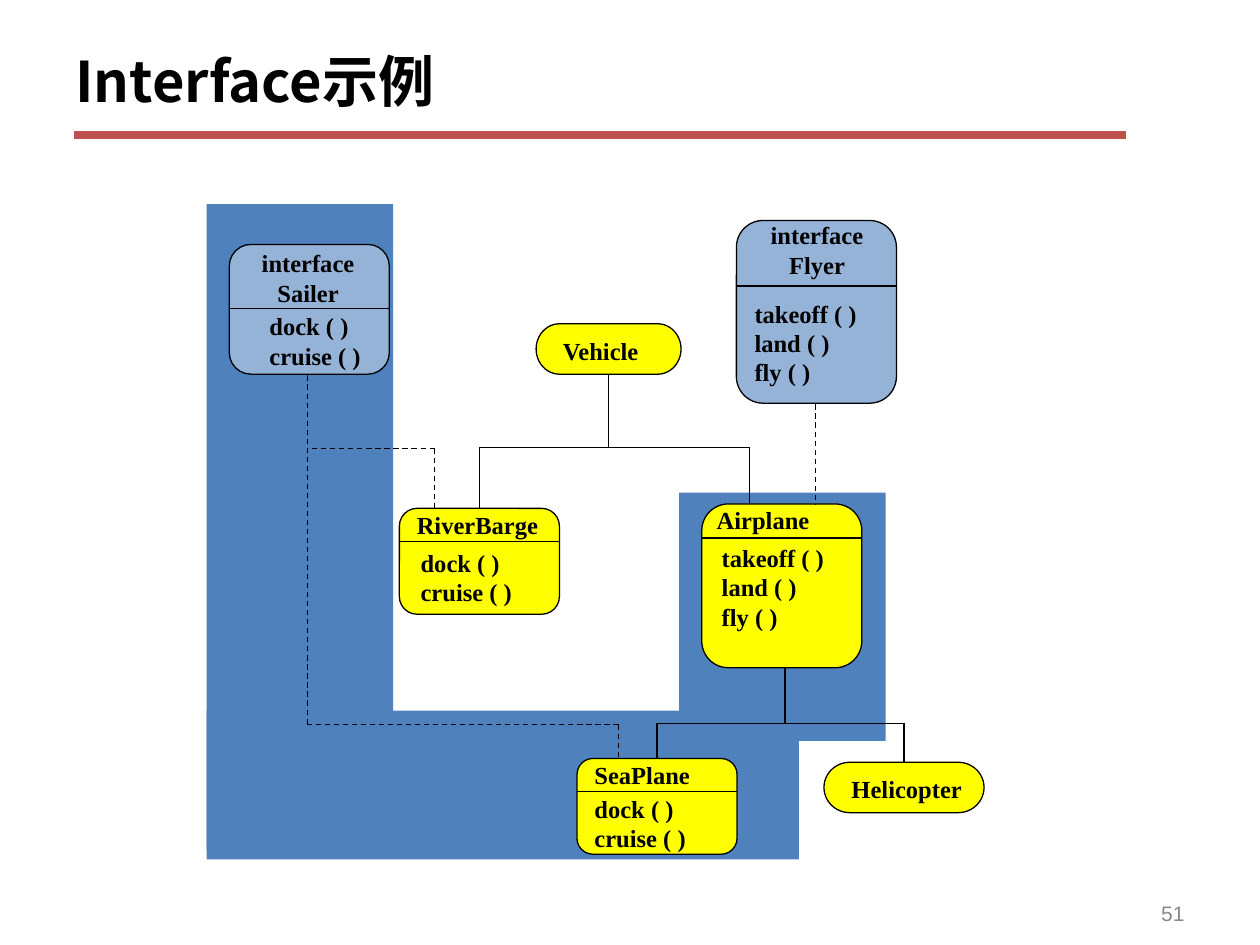
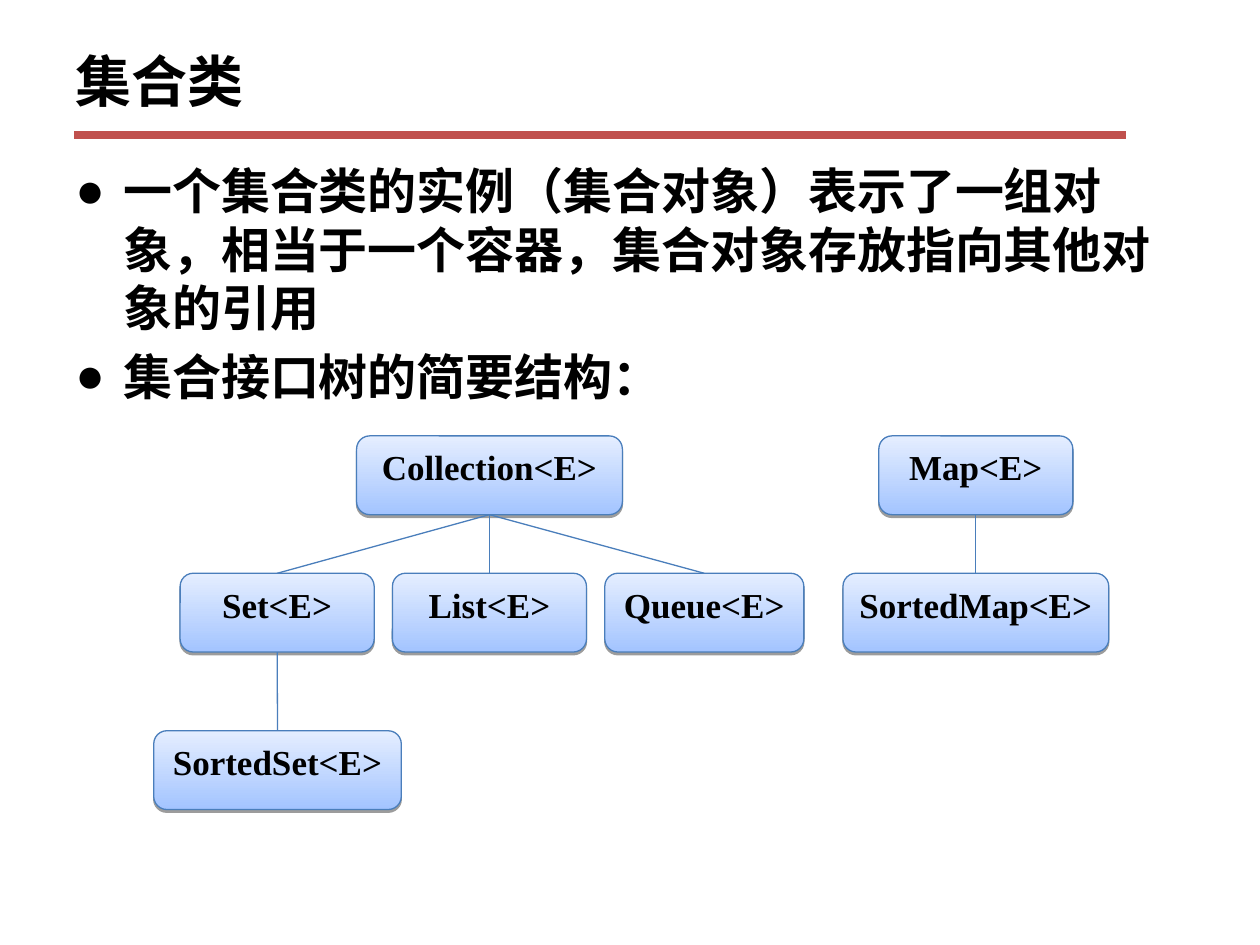
from lxml import etree
from pptx import Presentation
from pptx.dml.color import RGBColor
from pptx.enum.dml import MSO_LINE
from pptx.enum.lang import MSO_LANGUAGE_ID
from pptx.enum.shapes import MSO_CONNECTOR, MSO_SHAPE
from pptx.enum.text import MSO_ANCHOR, PP_ALIGN
from pptx.oxml.ns import qn
from pptx.util import Inches, Pt

SLIDE_WIDTH, SLIDE_HEIGHT = Inches(10), Inches(7.5)
COLUMN, ROW = SLIDE_WIDTH // 100, SLIDE_HEIGHT // 75

BLACK = RGBColor(0x00, 0x00, 0x00)
RED = RGBColor(0xC0, 0x50, 0x4D)
BLUE = RGBColor(0x4F, 0x81, 0xBD)
PALE_BLUE = RGBColor(0x95, 0xB3, 0xD7)
YELLOW = RGBColor(0xFF, 0xFF, 0x00)
GREY = RGBColor(0x89, 0x89, 0x89)
NODE_LINE = RGBColor(0x4A, 0x7E, 0xBB)
NODE_BOTTOM = RGBColor(0xA3, 0xC4, 0xFF)
NODE_TOP = RGBColor(0xE5, 0xEE, 0xFF)

SERIF, SANS, PLAIN = "Times New Roman", "Noto Sans CJK SC", "Arial"
RECTANGLE = MSO_SHAPE.RECTANGLE
ROUNDED = MSO_SHAPE.ROUNDED_RECTANGLE
CARD = MSO_SHAPE.FLOWCHART_ALTERNATE_PROCESS
PILL = MSO_SHAPE.FLOWCHART_TERMINATOR
STRAIGHT = MSO_CONNECTOR.STRAIGHT
DASH = MSO_LINE.DASH
TOP, MIDDLE = MSO_ANCHOR.TOP, MSO_ANCHOR.MIDDLE
LEFT, CENTER, RIGHT = PP_ALIGN.LEFT, PP_ALIGN.CENTER, PP_ALIGN.RIGHT
CHINESE = MSO_LANGUAGE_ID.SIMPLIFIED_CHINESE
TOP_SITE, BOTTOM_SITE = 0, 2


def place(left, top, width, height):
    return (round(left * COLUMN), round(top * ROW),
            round(width * COLUMN), round(height * ROW))


def write(box, text, size, font=SERIF, colour=BLACK, bold=True,
          align=LEFT, anchor=TOP):
    frame = box.text_frame
    frame.text = text
    frame.word_wrap = True
    frame.vertical_anchor = anchor
    for para in frame.paragraphs:
        para.alignment = align
        for span in para.runs:
            span.font.name = font
            span.font.size = Pt(size)
            span.font.bold = bold
            span.font.color.rgb = colour
            etree.SubElement(span.font._element, qn("a:ea"), typeface=SANS)


def add_text(page, area, text, size, **style):
    box = page.shapes.add_textbox(*place(*area))
    write(box, text, size, **style)
    return box


def add_box(page, kind, area, fill, outline=None):
    box = page.shapes.add_shape(kind, *place(*area))
    box.shadow.inherit = False
    box.fill.solid()
    box.fill.fore_color.rgb = fill
    if outline is None:
        box.line.fill.background()
    else:
        box.line.color.rgb = outline
        box.line.width = Pt(0.75)
    return box


def connect(page, start, end, colour=BLACK, width=0.75, dashed=False):
    starts_at_point, ends_at_point = isinstance(start, tuple), isinstance(end, tuple)
    start_point = start if starts_at_point else (0, 0)
    end_point = end if ends_at_point else (0, 0)
    line = page.shapes.add_connector(STRAIGHT, *place(*start_point, *end_point))
    if not starts_at_point:
        line.begin_connect(start, BOTTOM_SITE)
    if not ends_at_point:
        line.end_connect(end, TOP_SITE)
    line.line.color.rgb = colour
    line.line.width = Pt(width)
    if dashed:
        line.line.dash_style = DASH
    etree.SubElement(line._element.spPr, qn("a:effectLst"))


def column_of(end):
    if isinstance(end, tuple):
        return end[0]
    return (end.left + end.width / 2) / COLUMN


def add_branches(page, parent, levels, dashed=False):
    trunk = column_of(parent)
    connect(page, parent, (trunk, max(levels)), dashed=dashed)
    for row, children in levels.items():
        columns = [trunk, *map(column_of, children)]
        connect(page, (max(columns), row), (min(columns), row), dashed=dashed)
        for child in children:
            connect(page, (column_of(child), row), child, dashed=dashed)


def add_class_card(page, area, fill, divider, name, name_area, methods, methods_at,
                   align=LEFT):
    left, _, width, _ = area
    card = add_box(page, CARD, area, fill, BLACK)
    add_text(page, name_area, name, 14, align=align)
    add_text(page, (*methods_at, 12, 6.5), methods, 14)
    connect(page, (left, divider), (left + width, divider))
    return card


def add_class_pill(page, area, name, name_at):
    pill = add_box(page, PILL, area, YELLOW, BLACK)
    add_text(page, (*name_at, 11.4, 4), name, 14)
    return pill


def add_node(page, area, name):
    node = add_box(page, ROUNDED, area, NODE_TOP, NODE_LINE)
    node.fill.gradient()
    node.fill.gradient_angle = 90
    for stop, colour in zip(node.fill.gradient_stops, (NODE_BOTTOM, NODE_TOP)):
        stop.color.rgb = colour
    effects = node._element.spPr.find(qn("a:effectLst"))
    shadow = etree.SubElement(effects, qn("a:outerShdw"), blurRad="0",
                              dist=str(Pt(1.6)), dir="5400000", rotWithShape="0")
    tint = etree.SubElement(shadow, qn("a:srgbClr"), val=str(BLACK))
    etree.SubElement(tint, qn("a:alpha"), val="38000")
    write(node, name, 20, align=CENTER)
    return node


def add_bullets(page, area, text):
    box = add_text(page, area, text, 28)
    for para in box.text_frame.paragraphs:
        para.line_spacing = Pt(33.4)
        para.space_before = Pt(6)
        for span in para.runs:
            span.font.language_id = CHINESE
        properties = para._p.get_or_add_pPr()
        properties.set("marL", str(Inches(0.38)))
        properties.set("indent", str(-Inches(0.38)))
        properties.set("hangingPunct", "0")
        bullet_colour = etree.SubElement(properties, qn("a:buClr"))
        etree.SubElement(bullet_colour, qn("a:srgbClr"), val=str(BLACK))
        etree.SubElement(properties, qn("a:buFont"), typeface=PLAIN)
        etree.SubElement(properties, qn("a:buChar"), char="●")


def add_page(deck, title):
    page = deck.slides.add_slide(deck.slide_layouts[6])
    connect(page, (5.9, 10.7), (89.4, 10.7), RED, 4.5)
    add_text(page, (5, 2, 90, 8.7), title, 32, font=SANS, anchor=MIDDLE)
    return page


def build_interface_page(deck):
    page = add_page(deck, "Interface示例")
    for area in ((16.4, 56.4, 47, 11.8), (53.9, 39.1, 16.4, 19.7),
                 (16.4, 16.2, 14.8, 51.2)):
        add_box(page, RECTANGLE, area, BLUE)

    sailing = "dock ( )\ncruise ( )"
    flying = "takeoff ( )\nland ( )\nfly ( )"
    add_class_card(page, (58.45, 17.5, 12.7, 14.5), PALE_BLUE, 22.7,
                   "interface\nFlyer", (58.7, 17, 12.3, 6.7),
                   flying, (58.9, 23.2), CENTER)
    add_class_card(page, (18.2, 19.4, 12.7, 10.3), PALE_BLUE, 24.5,
                   "interface\nSailer", (17.7, 19.2, 13.5, 6.6),
                   sailing, (20.4, 24.2), CENTER)
    add_class_card(page, (55.7, 40, 12.7, 13), YELLOW, 42.7,
                   "Airplane", (55.9, 39.6, 12.3, 4),
                   flying, (56.3, 42.6))
    river_barge = add_class_card(page, (31.7, 40.35, 12.7, 8.4), YELLOW, 43,
                                 "RiverBarge", (32.1, 40, 12.3, 4),
                                 sailing, (32.4, 43))
    sea_plane = add_class_card(page, (45.8, 60.2, 12.7, 7.6), YELLOW, 62.8,
                               "SeaPlane", (46.2, 59.8, 12.3, 4),
                               sailing, (46.2, 62.5))
    vehicle = add_class_pill(page, (42.55, 25.7, 11.5, 4), "Vehicle", (43.7, 26.2))
    helicopter = add_class_pill(page, (65.4, 60.5, 12.7, 4), "Helicopter", (66.6, 60.9))

    add_branches(page, vehicle, {35.5: [river_barge, (59.5, 40)]})
    add_branches(page, (62.3, 53), {57.4: [sea_plane, helicopter]})
    add_branches(page, (24.4, 29.8), {35.6: [(34.5, 40.3)], 57.5: [(49.1, 60.2)]},
                 dashed=True)
    connect(page, (64.7, 32.1), (64.7, 40.1), dashed=True)
    add_text(page, (71.7, 70.5, 23.3, 4), "51", 12, font=PLAIN, colour=GREY,
             bold=False, align=RIGHT, anchor=MIDDLE)


def build_collection_page(deck):
    page = add_page(deck, "集合类")
    add_bullets(page, (5, 12.3, 90, 58.3),
                "一个集合类的实例（集合对象）表示了一组对象，相当于一个容器，"
                "集合对象存放指向其他对象的引用\n集合接口树的简要结构：")

    levels = (34.6, 45.5, 58)
    tree = (
        ("Collection<E>", 0, 28.3, 21.1, None),
        ("Queue<E>", 1, 48, 15.8, "Collection<E>"),
        ("List<E>", 1, 31.15, 15.4, "Collection<E>"),
        ("Set<E>", 1, 14.3, 15.4, "Collection<E>"),
        ("SortedSet<E>", 2, 12.2, 19.65, "Set<E>"),
        ("Map<E>", 0, 69.75, 15.4, None),
        ("SortedMap<E>", 1, 66.9, 21.1, "Map<E>"),
    )
    nodes = {name: add_node(page, (left, levels[level], width, 6.25), name)
             for name, level, left, width, _ in tree}
    for name, _, _, _, parent in tree:
        if parent:
            connect(page, nodes[parent], nodes[name], NODE_LINE)


def main():
    deck = Presentation()
    deck.slide_width, deck.slide_height = SLIDE_WIDTH, SLIDE_HEIGHT
    build_interface_page(deck)
    build_collection_page(deck)
    deck.save("out.pptx")


if __name__ == "__main__":
    main()
